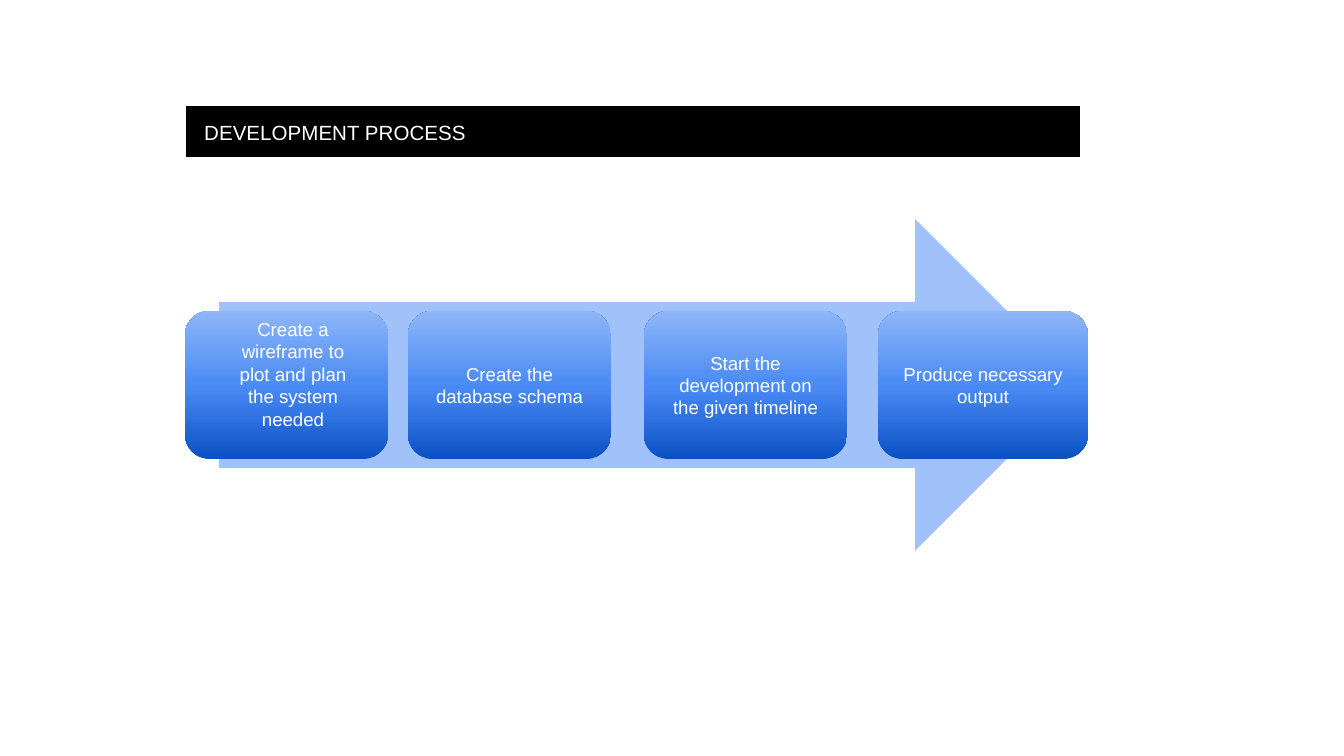
import copy
from dataclasses import dataclass

import lxml.etree
import pptx
import pptx.dml.color
import pptx.enum.shapes
import pptx.enum.text
import pptx.oxml.ns
import pptx.util

EMU_PER_PX = 914400 / 134.4
SHAPES = pptx.enum.shapes.MSO_SHAPE
ALIGN = pptx.enum.text.PP_ALIGN
ANCHOR = pptx.enum.text.MSO_ANCHOR
qn = pptx.oxml.ns.qn


@dataclass(frozen=True)
class Theme:
    font: str = "Arial"
    text: str = "FFFFFF"
    header: str = "000000"
    border: str = "FFFFFF"
    arrow: str = "4285F4"
    arrow_opacity: int = 50
    gradient: tuple = ((0, "0B51C4"), (0.48, "4889F4"), (1, "8EB6F8"))
    title_size: int = 11
    step_size: int = 10


@dataclass(frozen=True)
class Box:
    left: int
    top: int
    width: int
    height: int

    def emu(self) -> tuple:
        return tuple(px(v) for v in (self.left, self.top, self.width, self.height))


@dataclass(frozen=True)
class Step:
    left: int
    width: int
    text: str = ""


THEME = Theme()
STEP_TOP, STEP_HEIGHT = 311, 148
STEPS = (
    Step(185, 203),  # its label sits in a separate text box
    Step(408, 203, "Create the database schema"),
    Step(644, 203, "Start the development on the given timeline"),
    Step(878, 210, "Produce necessary output"),
)


def px(value: int) -> pptx.util.Emu:
    return pptx.util.Emu(round(value * EMU_PER_PX))


def rgb(value: str) -> pptx.dml.color.RGBColor:
    return pptx.dml.color.RGBColor.from_string(value)


def write(frame, text: str, size: int, align, wrap: bool = True) -> None:
    frame.word_wrap = wrap
    paragraph = frame.paragraphs[0]
    paragraph.text = text
    paragraph.alignment = align
    paragraph.font.name = THEME.font
    paragraph.font.size = pptx.util.Pt(size)
    paragraph.font.color.rgb = rgb(THEME.text)


def add_shape(slide, kind, box: Box):
    shape = slide.shapes.add_shape(kind, *box.emu())
    shape.shadow.inherit = False
    shape.line.fill.background()
    return shape


def add_arrow(slide, box: Box) -> None:
    shape = add_shape(slide, SHAPES.RIGHT_ARROW, box)
    shape.fill.solid()
    shape.fill.fore_color.rgb = rgb(THEME.arrow)
    color = shape._element.spPr.find(f"{qn('a:solidFill')}/{qn('a:srgbClr')}")
    lxml.etree.SubElement(color, qn("a:alpha"), val=str(THEME.arrow_opacity * 1000))


def add_step(slide, step: Step) -> None:
    box = Box(step.left, STEP_TOP, step.width, STEP_HEIGHT)
    shape = add_shape(slide, SHAPES.FLOWCHART_ALTERNATE_PROCESS, box)
    shape.fill.gradient()
    shape.fill.gradient_angle = 90
    # The default gradient has two stops; add the middle one
    stops = shape._element.spPr.find(f"{qn('a:gradFill')}/{qn('a:gsLst')}")
    stops.append(copy.deepcopy(stops[0]))
    for stop, (position, color) in zip(shape.fill.gradient_stops, THEME.gradient):
        stop.position = position
        stop.color.rgb = rgb(color)
    if step.text:
        shape.text_frame.vertical_anchor = ANCHOR.MIDDLE
        write(shape.text_frame, step.text, THEME.step_size, ALIGN.CENTER)


def add_label(slide, box: Box, text: str, size: int, align, wrap: bool) -> None:
    frame = slide.shapes.add_textbox(*box.emu()).text_frame
    write(frame, text, size, align, wrap)
    frame.auto_size = pptx.enum.text.MSO_AUTO_SIZE.SHAPE_TO_FIT_TEXT


def add_header_bar(slide, box: Box) -> None:
    table = slide.shapes.add_table(1, 1, *box.emu()).table
    cell = table.cell(0, 0)
    cell.fill.solid()
    cell.fill.fore_color.rgb = rgb(THEME.header)
    properties = cell._tc.tcPr
    borders = (("lnL", 1), ("lnR", 1), ("lnT", 1), ("lnB", 3))
    for index, (side, points) in enumerate(borders):
        line = lxml.etree.Element(qn(f"a:{side}"), w=str(pptx.util.Pt(points)))
        fill = lxml.etree.SubElement(line, qn("a:solidFill"))
        lxml.etree.SubElement(fill, qn("a:srgbClr"), val=THEME.border)
        properties.insert(index, line)


def main() -> None:
    presentation = pptx.Presentation()
    presentation.slide_width = px(1344)
    presentation.slide_height = px(756)
    slide = presentation.slides.add_slide(presentation.slide_layouts[6])

    # Process arrow and its steps
    add_arrow(slide, Box(219, 219, 862, 332))
    for step in STEPS:
        add_step(slide, step)
    add_label(slide, Box(226, 311, 134, 126),
              "Create a wireframe to plot and plan the system needed",
              THEME.step_size, ALIGN.CENTER, wrap=True)

    # Heading
    add_header_bar(slide, Box(185, 105, 896, 55))
    add_label(slide, Box(191, 113, 292, 39), "DEVELOPMENT PROCESS",
              THEME.title_size, ALIGN.LEFT, wrap=False)

    presentation.save("out.pptx")


if __name__ == "__main__":
    main()
